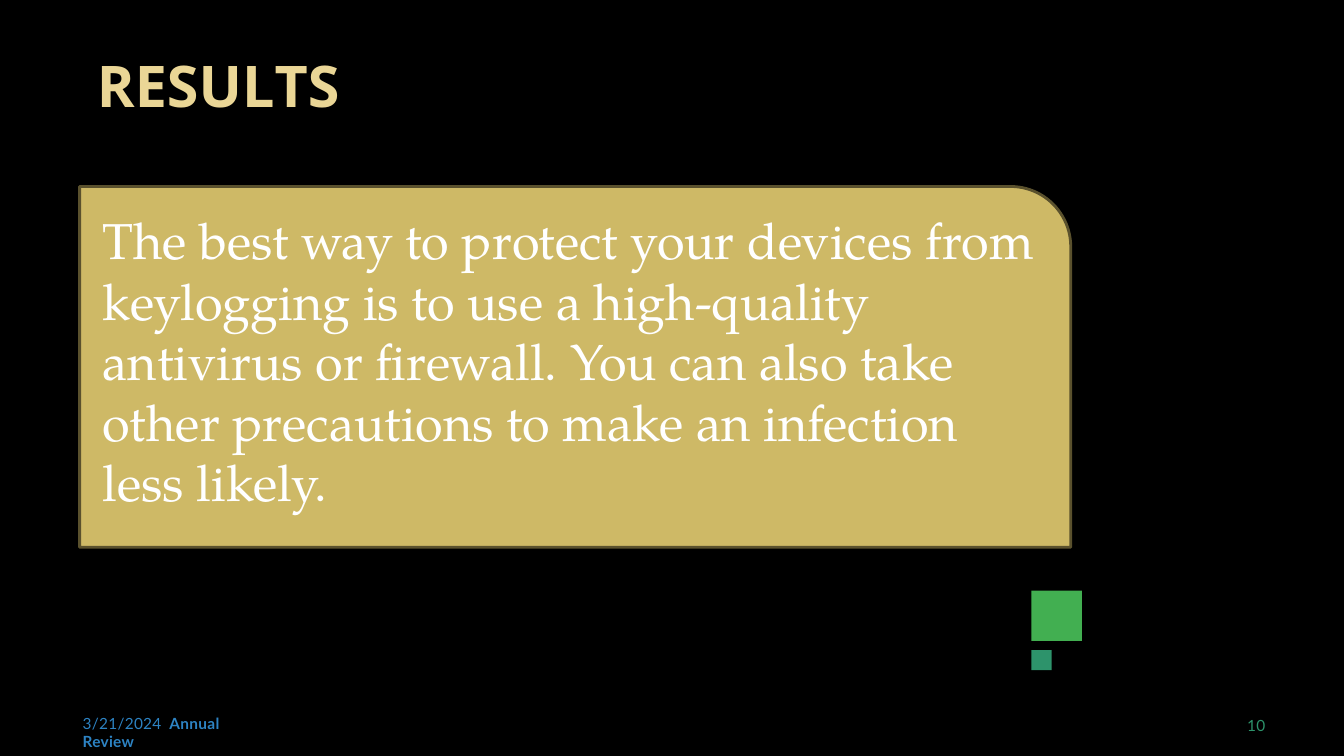
from dataclasses import dataclass

from pptx import Presentation
from pptx.dml.color import RGBColor
from pptx.enum.shapes import MSO_SHAPE
from pptx.enum.text import MSO_ANCHOR, PP_ALIGN
from pptx.util import Inches, Pt


@dataclass(frozen=True)
class Theme:
    back: str = "000000"
    title: str = "EAD696"
    panel: str = "CEB966"
    edge: str = "5A512D"
    body: str = "FFFFFF"
    date: str = "2D83C3"
    green: str = "42AF51"
    teal: str = "2D936B"
    head_font: str = "Noto Sans"
    body_font: str = "TeX Gyre Pagella"
    foot_font: str = "Lato"
    head_size: int = 41
    body_size: int = 36
    foot_size: int = 11


THEME = Theme()


def tint(fill, color):
    fill.solid()
    fill.fore_color.rgb = RGBColor.from_string(color)


def add_text(slide, box, runs, font, size, color, inset=(0, 0)):
    frame = slide.shapes.add_textbox(*map(Inches, box)).text_frame
    frame.word_wrap = True
    frame.margin_left = frame.margin_right = Inches(inset[0])
    frame.margin_top = frame.margin_bottom = Inches(inset[1])
    line = frame.paragraphs[0]
    for text, bold, gap in runs:
        run = line.add_run()
        run.text = text
        run.font.name = font
        run.font.size = Pt(size)
        run.font.bold = bold
        run.font.color.rgb = RGBColor.from_string(color)
        run._r.get_or_add_rPr().set("spc", str(round(gap * 100)))
    return frame


def add_block(slide, kind, box, color):
    block = slide.shapes.add_shape(kind, *map(Inches, box))
    block.shadow.inherit = False
    tint(block.fill, color)
    block.line.fill.background()
    return block


def add_title(slide, box):
    runs = [("RESU", True, 0), ("L", True, -4), ("TS", True, 0)]
    frame = add_text(slide, box, runs, THEME.head_font, THEME.head_size, THEME.title)
    frame.vertical_anchor = MSO_ANCHOR.MIDDLE
    frame.paragraphs[0].alignment = PP_ALIGN.CENTER


def add_panel(slide, box):
    left, top, width, height = box
    panel = add_block(slide, MSO_SHAPE.ROUND_1_RECTANGLE, box, THEME.panel)
    tint(panel.line.fill, THEME.edge)
    panel.line.width = Pt(2)
    words = (
        "The best way to protect your devices from keylogging is to use a "
        "high-quality antivirus or firewall. You can also take other "
        "precautions to make an infection less likely."
    )
    add_text(
        slide,
        (left + 0.13, top + 0.18, width - 0.32, height - 0.45),
        [(words, False, 0)],
        THEME.body_font,
        THEME.body_size,
        THEME.body,
        (0.1, 0.05),
    )


def add_squares(slide, box):
    left, top, width, height = box
    for drop, side, color in ((0, width, THEME.green), (height - 0.2, 0.2, THEME.teal)):
        add_block(slide, MSO_SHAPE.RECTANGLE, (left, top + drop, side, side), color)


def add_footer(slide, box):
    left, top, width, height = box
    runs = [("3/21/2024", False, 0.2), (" ", False, 2.6), ("Annual Review", True, 0.2)]
    date = add_text(
        slide, (left, top, 1.9, height), runs,
        THEME.foot_font, THEME.foot_size, THEME.date,
    )
    date.paragraphs[0].line_spacing = Pt(12.8)
    page = add_text(
        slide, (left + width - 0.25, top, 0.25, height), [("10", False, 0.1)],
        THEME.foot_font, THEME.foot_size, THEME.teal, (0, 0.01),
    )
    page.margin_left = Inches(0.04)


def main():
    deck = Presentation()
    deck.slide_width = Inches(13.33)
    deck.slide_height = Inches(7.5)
    slide = deck.slides.add_slide(deck.slide_layouts[6])
    tint(slide.background.fill, THEME.back)
    add_squares(slide, (10.23, 5.86, 0.5, 0.79))
    add_title(slide, (0.83, 0.42, 2.67, 0.83))
    add_panel(slide, (0.79, 1.85, 9.83, 3.58))
    add_footer(slide, (0.82, 7.09, 11.76, 0.2))
    deck.save("out.pptx")


if __name__ == "__main__":
    main()
